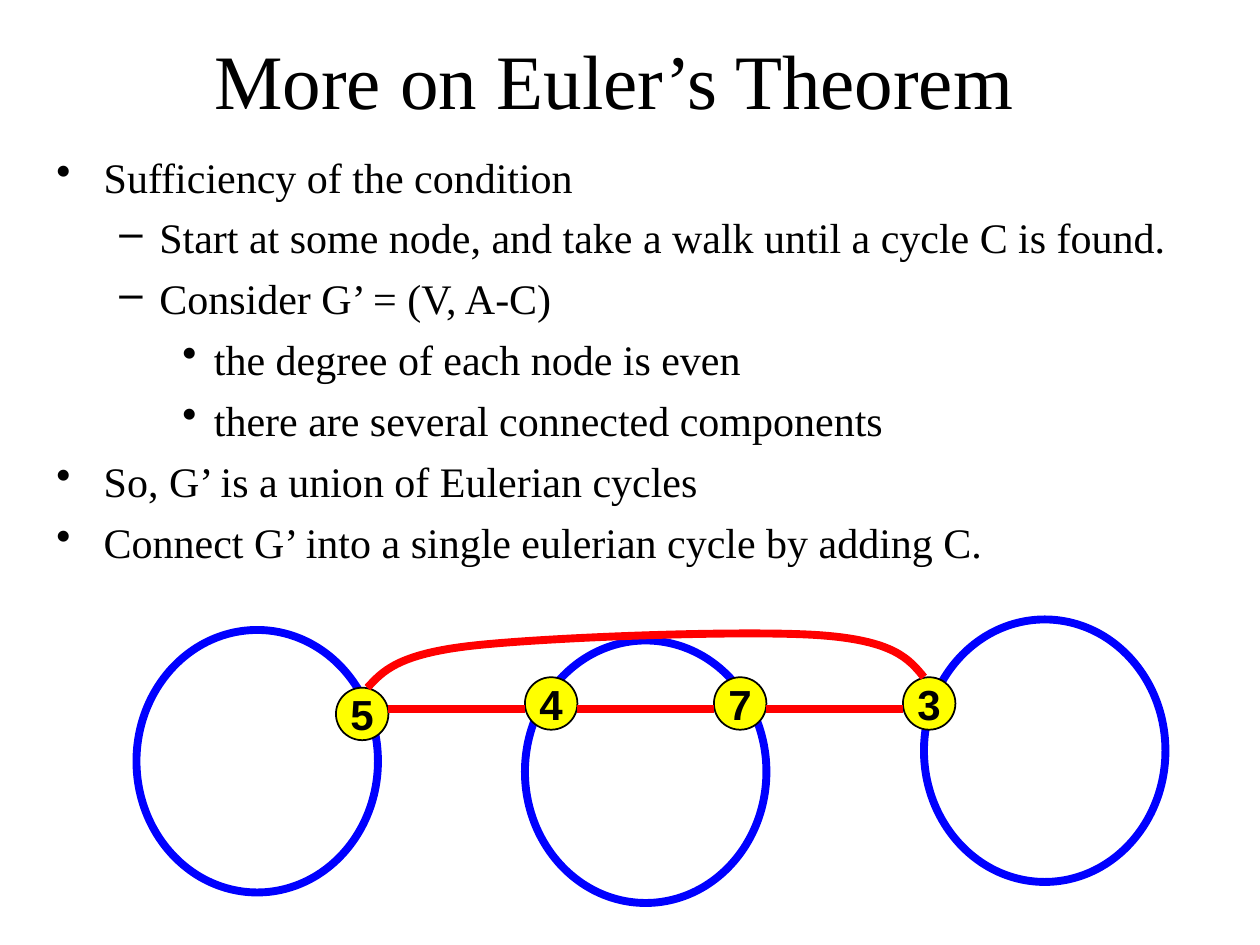
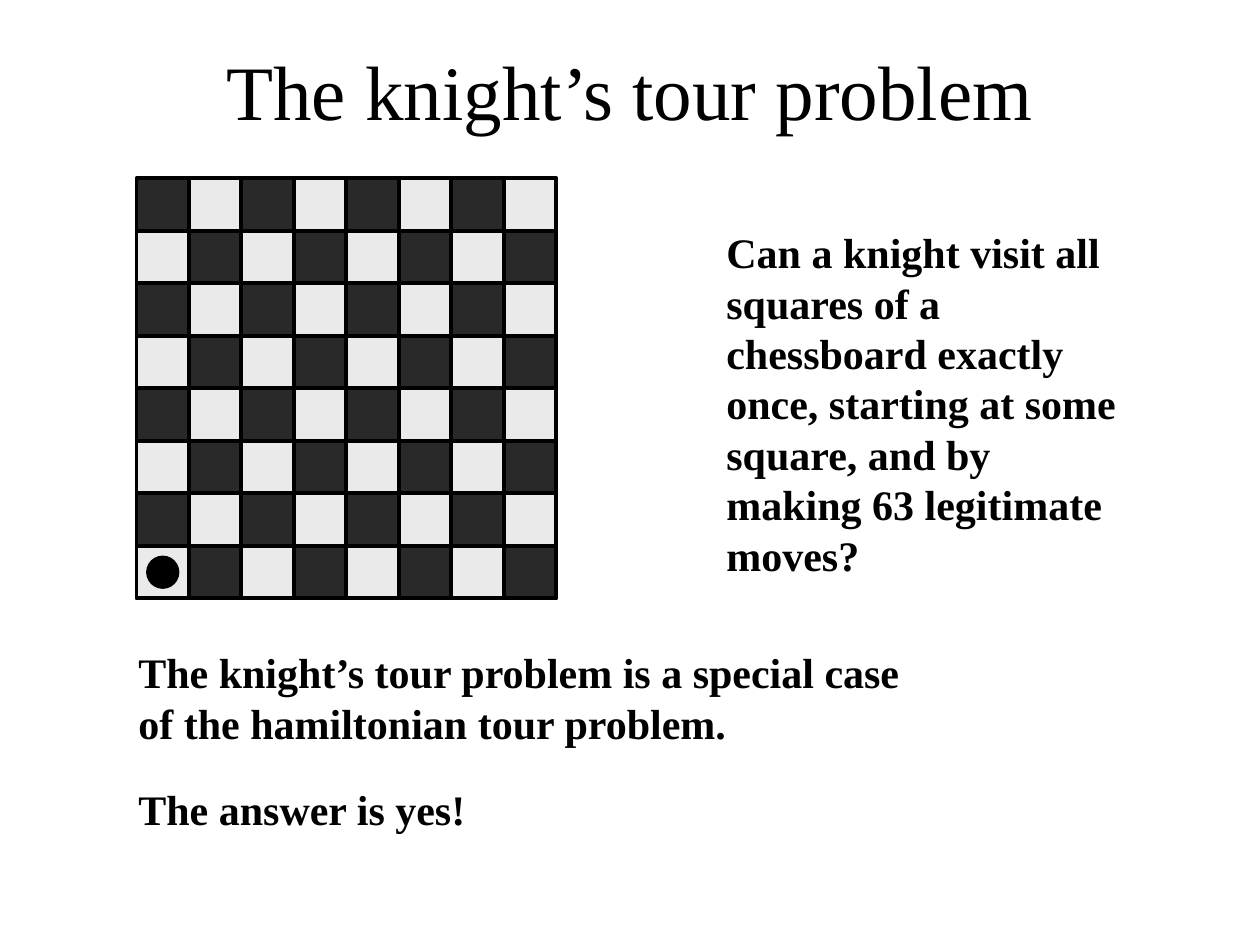
import pptx
import pptx.dml.color
import pptx.enum.shapes
import pptx.enum.text
import pptx.oxml.ns
import pptx.util
import lxml.etree

PX = 7620
BLACK, BLUE, RED, YELLOW = "000000", "0000FF", "FF0000", "FFFF00"
DARK, LIGHT = "292929", "EAEAEA"
SERIF = {"name": "Times New Roman", "size": pptx.util.Pt(24), "bold": False}
STRONG = {**SERIF, "bold": True}
HEAD = {**SERIF, "size": pptx.util.Pt(44)}
LABEL = {**STRONG, "name": "Arial"}
LEAD = pptx.util.Pt(28.8)
MID = pptx.enum.text.MSO_ANCHOR.MIDDLE
MAIN = pptx.enum.text.PP_ALIGN.CENTER
OVAL = pptx.enum.shapes.MSO_SHAPE.OVAL
RECT = pptx.enum.shapes.MSO_SHAPE.RECTANGLE
LINE = pptx.enum.shapes.MSO_CONNECTOR.STRAIGHT
tag = pptx.oxml.ns.qn


def hue(code):
    return pptx.dml.color.RGBColor.from_string(code)


def write(para, text, look, **form):
    for key, val in form.items():
        setattr(para, key, val)
    run = para.add_run()
    run.text = text
    for key, val in look.items():
        setattr(run.font, key, val)
    run.font.color.rgb = hue(BLACK)


deck = pptx.Presentation()
deck.slide_width, deck.slide_height = 1200 * PX, 900 * PX

heads = [
    ("More on Euler’s Theorem", (75, 0, 1020, 150)),
    ("The knight’s tour problem", (90, 40, 1020, 90)),
]
for text, box in heads:
    slide = deck.slides.add_slide(deck.slide_layouts[5])
    title = slide.shapes.title
    for key, val in zip(("left", "top", "width", "height"), box):
        setattr(title, key, val * PX)
    title.text_frame.vertical_anchor = MID
    write(title.text_frame.paragraphs[0], text, HEAD, alignment=MAIN)
euler, knight = deck.slides

points = [
    (0, "Sufficiency of the condition"),
    (1, "Start at some node, and take a walk until a cycle C is found."),
    (1, "Consider G’ = (V, A-C)"),
    (2, "the degree of each node is even"),
    (2, "there are several connected components"),
    (0, "So, G’ is a union of Eulerian cycles"),
    (0, "Connect G’ into a single eulerian cycle by adding C."),
]
marks = [("•", 45, 45), ("–", 98, 38), ("•", 150, 30)]
body = euler.shapes.add_textbox(42 * PX, 138 * PX, 1130 * PX, 730 * PX).text_frame
body.word_wrap = True
for num, (level, text) in enumerate(points):
    para = body.add_paragraph() if num else body.paragraphs[0]
    sign, left, hang = marks[level]
    props = para._p.get_or_add_pPr()
    props.set("marL", str(left * PX))
    props.set("indent", str(-hang * PX))
    lxml.etree.SubElement(props, tag("a:buChar")).set("char", sign)
    gap = pptx.util.Pt(6 if num else 0)
    write(para, text, SERIF, level=level, line_spacing=LEAD, space_before=gap)

notes = [
    ("Can a knight visit all squares of a chessboard exactly once, "
     "starting at some square, and by making 63 legitimate moves?",
     (680, 210, 410, 348)),
    ("The knight’s tour problem is a special case of the hamiltonian tour problem.",
     (120, 610, 790, 108)),
    ("The answer is yes!", (120, 740, 790, 60)),
]
for text, box in notes:
    frame = knight.shapes.add_textbox(*(val * PX for val in box)).text_frame
    frame.word_wrap = True
    write(frame.paragraphs[0], text, STRONG, line_spacing=LEAD)

rings = [(130, 600), (500, 610), (880, 590)]
nodes = [("5", 320, 655), ("4", 500, 645), ("7", 680, 645), ("3", 860, 645)]
parts = [(euler, OVAL, (x, y, 230, 250), None, BLUE, 4.5, "") for x, y in rings]
parts += [(euler, OVAL, (x, y, 50, 50), YELLOW, BLACK, 1, name) for name, x, y in nodes]
for row in range(8):
    for col in range(8):
        tone = LIGHT if (row + col) % 2 else DARK
        cell = (130 + 50 * col, 170 + 50 * row, 50, 50)
        parts.append((knight, RECT, cell, tone, BLACK, 2.25, ""))
parts.append((knight, OVAL, (140, 530, 30, 30), BLACK, BLACK, 1, ""))

for slide, kind, box, fill, edge, wide, text in parts:
    shape = slide.shapes.add_shape(kind, *(val * PX for val in box))
    shape.shadow.inherit = False
    if fill:
        shape.fill.solid()
        shape.fill.fore_color.rgb = hue(fill)
    else:
        shape.fill.background()
    shape.line.color.rgb = hue(edge)
    shape.line.width = pptx.util.Pt(wide)
    if text:
        frame = shape.text_frame
        for key, val in {"word_wrap": False, "vertical_anchor": MID}.items():
            setattr(frame, key, val)
        write(frame.paragraphs[0], text, LABEL, alignment=MAIN)

walk = []
for x in (500, 680, 860):
    link = euler.shapes.add_connector(LINE, x * PX, 675 * PX, (x - 130) * PX, 675 * PX)
    lxml.etree.SubElement(link.element.spPr, tag("a:effectLst"))
    walk.append(link)

bends = [
    (364, 640), (378, 623), (450, 615),
    (522, 607), (708, 600), (780, 605),
    (852, 610), (866, 628), (880, 645),
]
pen = euler.shapes.build_freeform(350, 655, scale=PX)
pen.add_line_segments(bends, close=False)
arc = pen.convert_to_shape()
arc.shadow.inherit = False
arc.fill.background()
steps = list(arc.element.iter(tag("a:lnTo")))
for num in range(0, len(steps), 3):
    curve = lxml.etree.SubElement(steps[num].getparent(), tag("a:cubicBezTo"))
    for step in steps[num:num + 3]:
        curve.append(step[0])
        step.getparent().remove(step)
walk.append(arc)

for item in walk:
    item.line.color.rgb = hue(RED)
    item.line.width = pptx.util.Pt(4.5)

deck.save("out.pptx")
